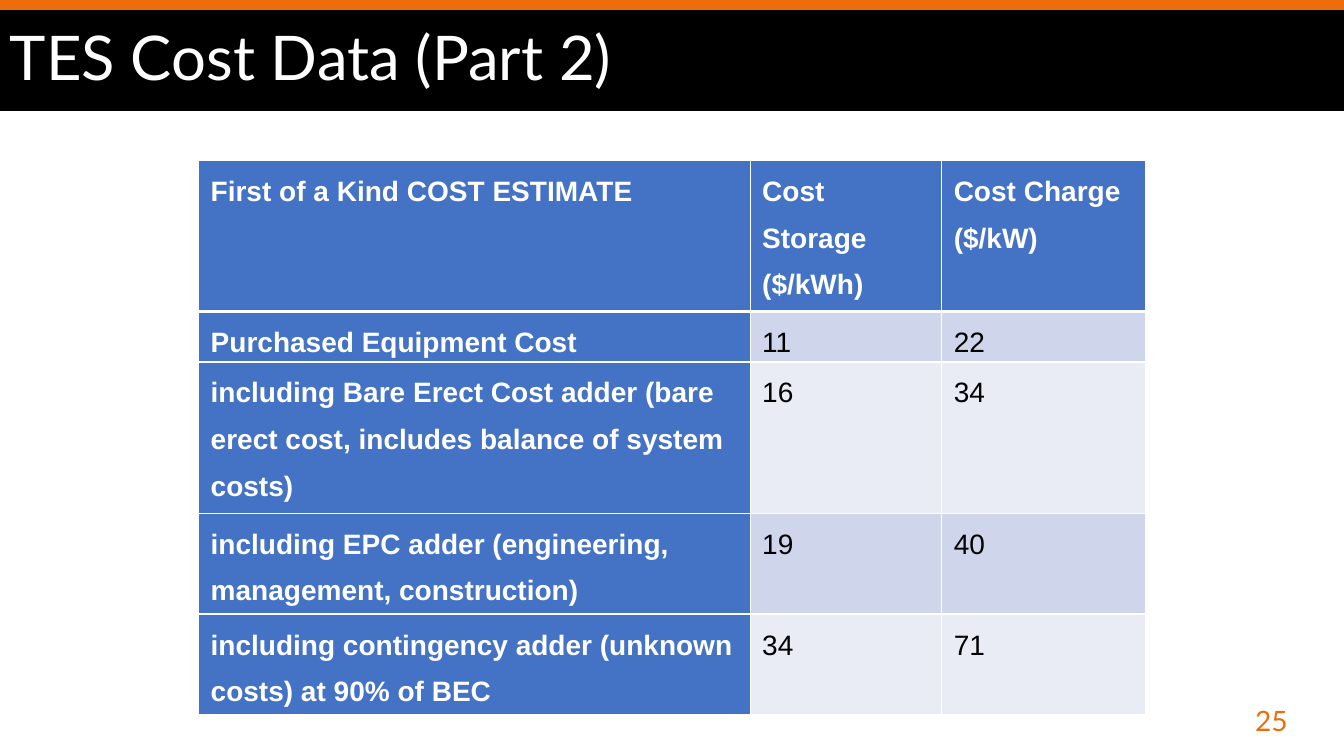
from lxml.etree import SubElement
from pptx import Presentation
from pptx.dml.color import RGBColor
from pptx.enum.shapes import MSO_SHAPE
from pptx.enum.text import MSO_ANCHOR, PP_ALIGN
from pptx.oxml.ns import qn
from pptx.util import Inches, Pt

COLORS = {
    "orange": "EE6D0B", "black": "000000", "white": "FFFFFF",
    "blue": "4472C4", "dark": "CFD5EA", "light": "E9EBF5",
}
COLS = [5.47, 1.9, 2.02]
HEIGHTS = [1.42, 0.43, 1.42, 0.93, 0.93]
COSTS = [
    ("First of a Kind COST ESTIMATE", "Cost Storage ($/kWh)", "Cost Charge ($/kW)"),
    ("Purchased Equipment Cost", "11", "22"),
    ("including Bare Erect Cost adder (bare erect cost, "
     "includes balance of system costs)", "16", "34"),
    ("including EPC adder (engineering, management, construction)", "19", "40"),
    ("including contingency adder (unknown costs) at 90% of BEC", "34", "71"),
]


def color(name):
    return RGBColor.from_string(COLORS[name])


class Deck:
    def __init__(self, width, height):
        self.prs = Presentation()
        self.prs.slide_width = Inches(width)
        self.prs.slide_height = Inches(height)
        self.slide = self.prs.slides.add_slide(self.prs.slide_layouts[6])

    def style(self, para, size, face, tone, bold=False):
        font = para.font
        font.size, font.name, font.bold = Pt(size), face, bold
        font.color.rgb = color(tone)

    def bar(self, box, fill):
        shape = self.slide.shapes.add_shape(MSO_SHAPE.RECTANGLE, *map(Inches, box))
        shape.shadow.inherit = False
        shape.fill.solid()
        shape.fill.fore_color.rgb = color(fill)
        shape.line.fill.background()
        return shape

    def put_text(self, shape, text, size, tone, align, space=1.0):
        frame = shape.text_frame
        frame.word_wrap = True
        frame.vertical_anchor = MSO_ANCHOR.MIDDLE
        para = frame.paragraphs[0]
        para.text, para.alignment, para.line_spacing = text, align, space
        self.style(para, size, "Lato", tone)

    def label(self, box, text, size, tone, align):
        shape = self.slide.shapes.add_textbox(*map(Inches, box))
        self.put_text(shape, text, size, tone, align)

    def border(self, cell, row):
        """White grid, thicker between the header and the first row."""
        thick = {(0, "B"), (1, "T")}
        props = cell._tc.get_or_add_tcPr()
        for side in "LRTB":
            width = Pt(3 if (row, side) in thick else 1)
            line = SubElement(props, qn(f"a:ln{side}"), w=str(width))
            fill = SubElement(line, qn("a:solidFill"))
            SubElement(fill, qn("a:srgbClr"), val=COLORS["white"])

    def cell(self, cell, text, row, col):
        head = row == 0 or col == 0
        self.border(cell, row)
        cell.fill.solid()
        cell.fill.fore_color.rgb = color(
            "blue" if head else "dark" if row % 2 else "light")
        cell.margin_left = cell.margin_right = Inches(0.12)
        cell.margin_top = cell.margin_bottom = 0
        para = cell.text_frame.paragraphs[0]
        para.text, para.line_spacing = text, 1.5
        self.style(para, 20, "Arial", "white" if head else "black", head)

    def table(self, left, top, cols, heights, rows):
        box = (left, top, sum(cols), sum(heights))
        table = self.slide.shapes.add_table(
            len(rows), len(cols), *map(Inches, box)).table
        table.first_col = True
        for col, width in zip(table.columns, cols):
            col.width = Inches(width)
        for row, height in zip(table.rows, heights):
            row.height = Inches(height)
        for r, texts in enumerate(rows):
            for c, text in enumerate(texts):
                self.cell(table.cell(r, c), text, r, c)


def main():
    deck = Deck(13.33, 7.5)
    deck.bar((0, 0, 13.33, 0.1), "orange")
    title = deck.bar((0, 0.1, 13.33, 1), "black")
    deck.put_text(title, "TES Cost Data (Part 2)", 44, "white", PP_ALIGN.LEFT, 0.9)
    deck.label((9.87, 6.95, 3, 0.4), "25", 20, "orange", PP_ALIGN.RIGHT)
    deck.table(1.97, 1.59, COLS, HEIGHTS, COSTS)
    deck.prs.save("out.pptx")


if __name__ == "__main__":
    main()
